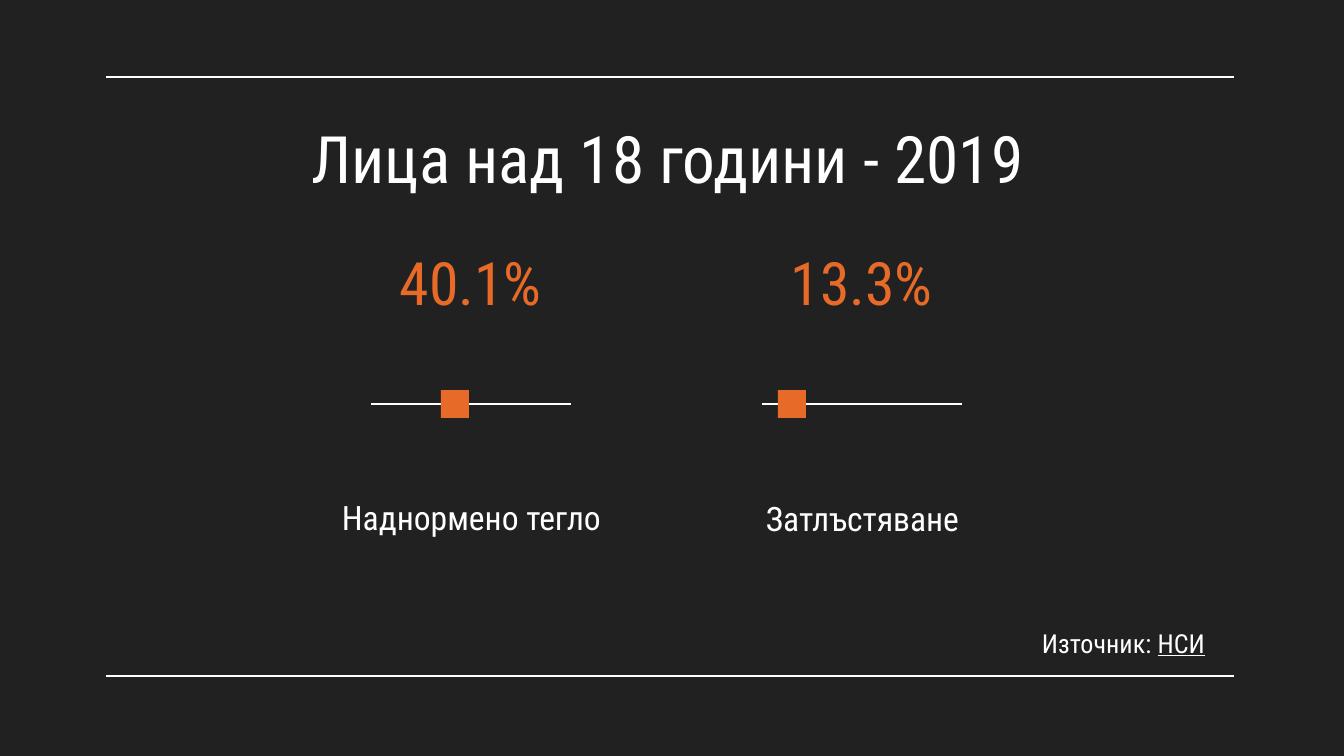
from dataclasses import dataclass

from lxml import etree
from pptx import Presentation
from pptx import util as u
from pptx.dml.color import RGBColor
from pptx.enum import shapes, text
from pptx.oxml.ns import qn


@dataclass(frozen=True)
class Theme:
    font: str = "Roboto Condensed"
    back: RGBColor = RGBColor(0x21, 0x21, 0x21)
    light: RGBColor = RGBColor(0xFF, 0xFF, 0xFF)
    accent: RGBColor = RGBColor(0xE7, 0x6A, 0x28)
    title: int = 35
    value: int = 32
    label: int = 18
    source: int = 14
    rule: float = 0.75


def px(length):
    return u.Emu(round(length * 914400 / 134.4))


class Page:
    def __init__(self, deck, theme):
        self.theme = theme
        self.slide = deck.slides.add_slide(deck.slide_layouts[5])
        fill = self.slide.background.fill
        fill.solid()
        fill.fore_color.rgb = theme.back

    def fill_text(self, box, spans, size, color, align, anchor, inset):
        frame = box.text_frame
        frame.word_wrap = True
        frame.auto_size = text.MSO_AUTO_SIZE.NONE
        frame.vertical_anchor = anchor
        frame.margin_left = frame.margin_right = px(13)
        frame.margin_top = frame.margin_bottom = px(inset)
        para = frame.paragraphs[0]
        para.alignment = align
        for words, underline in spans:
            span = para.add_run()
            span.text = words
            span.font.name = self.theme.font
            span.font.size = u.Pt(size)
            span.font.color.rgb = color
            span.font.underline = underline

    def title(self, words, left, top, width, height):
        box = self.slide.shapes.title
        box.left, box.top, box.width, box.height = map(px, (left, top, width, height))
        self.fill_text(box, [(words, None)], self.theme.title, self.theme.light,
                       text.PP_ALIGN.CENTER, text.MSO_ANCHOR.TOP, 13)

    def label(self, spans, left, top, width, height, size, color,
              align=text.PP_ALIGN.CENTER, anchor=text.MSO_ANCHOR.MIDDLE, inset=13):
        box = self.slide.shapes.add_textbox(*map(px, (left, top, width, height)))
        self.fill_text(box, spans, size, color, align, anchor, inset)

    def rule(self, left, right, y):
        line = self.slide.shapes.add_connector(
            shapes.MSO_CONNECTOR.STRAIGHT, px(left), px(y), px(right), px(y))
        line.line.color.rgb = self.theme.light
        line.line.width = u.Pt(self.theme.rule)
        etree.SubElement(line._element.spPr, qn("a:effectLst"))

    def marker(self, left, top, side):
        square = self.slide.shapes.add_shape(
            shapes.MSO_SHAPE.RECTANGLE, px(left), px(top), px(side), px(side))
        square.shadow.inherit = False
        square.fill.solid()
        square.fill.fore_color.rgb = self.theme.accent
        square.line.fill.background()


def main():
    deck = Presentation()
    deck.slide_width, deck.slide_height = px(1344), px(756)
    theme = Theme()
    page = Page(deck, theme)

    # Frame rules and title
    for y in (77, 676):
        page.rule(106, 1234, y)
    page.title("Лица над 18 години - 2019 ", 109, 105, 1133, 85)

    # One column per indicator: value, slider, label
    track = 200
    columns = [
        (371, "40.1%", 70, "Наднормено тегло", 485),
        (762, "13.3%", 16, "Затлъстяване", 486),
    ]
    for left, value, offset, name, label_top in columns:
        page.label([(value, None)], left, 239, track, 85, theme.value, theme.accent)
        page.rule(left, left + track, 404)
        page.marker(left + offset, 390, 28)
        page.label([(name, None)], left - 67, label_top, track + 135, 65,
                   theme.label, theme.light, anchor=text.MSO_ANCHOR.BOTTOM)

    # Source note
    page.label([("Източник: ", None), ("НСИ", True)], 1029, 620, 274, 46,
               theme.source, theme.light, align=text.PP_ALIGN.LEFT,
               anchor=text.MSO_ANCHOR.TOP, inset=7)

    deck.save("out.pptx")


if __name__ == "__main__":
    main()
